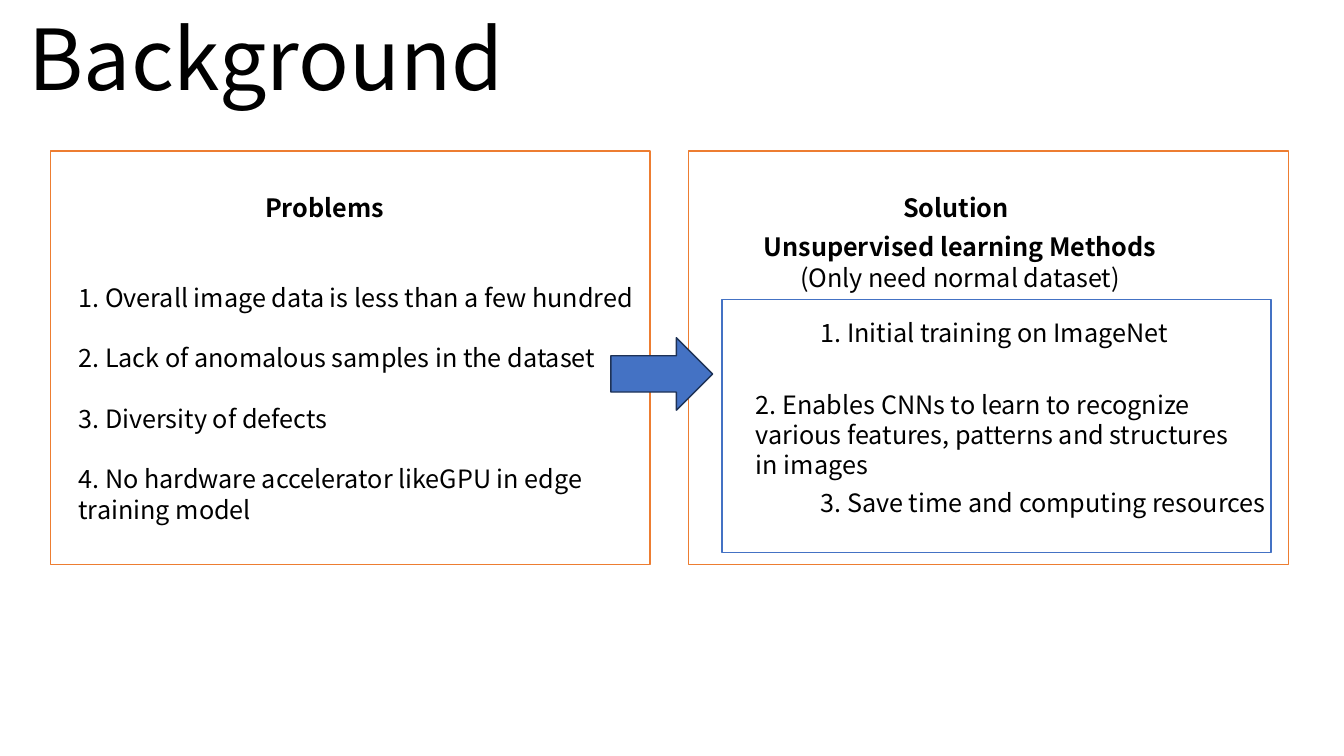
from dataclasses import dataclass

from pptx import Presentation
from pptx.dml.color import RGBColor
from pptx.enum import shapes, text
from pptx.util import Pt


@dataclass(frozen=True)
class Theme:
    font: str = "Noto Sans CJK SC"
    title_size: float = 60
    body_size: float = 18
    item_gap: float = 21.6
    line_width: float = 1
    ink: str = "000000"
    paper: str = "FFFFFF"
    orange: str = "ED7D31"
    blue: str = "4472C4"
    navy: str = "1E3256"


THEME = Theme()
CENTER = text.PP_ALIGN.CENTER
LEFT = text.PP_ALIGN.LEFT


def inside(box, left, top, width, height):
    return box[0] + left, box[1] + top, width, height


def draw_shape(slide, kind, box, fill, line):
    outline = slide.shapes.add_shape(kind, *map(Pt, box))
    outline.shadow.inherit = False
    outline.fill.solid()
    outline.fill.fore_color.rgb = RGBColor.from_string(fill)
    outline.line.color.rgb = RGBColor.from_string(line)
    outline.line.width = Pt(THEME.line_width)


def draw_frame(slide, box, line):
    draw_shape(slide, shapes.MSO_SHAPE.RECTANGLE, box, THEME.paper, line)


def write(slide, box, lines, bold_lines=0, size=THEME.body_size, align=LEFT, gap=0):
    frame = slide.shapes.add_textbox(*map(Pt, box)).text_frame
    frame.word_wrap = True
    for index, wording in enumerate(lines):
        paragraph = frame.paragraphs[0] if index == 0 else frame.add_paragraph()
        paragraph.alignment = align
        paragraph.space_after = Pt(gap if index < len(lines) - 1 else 0)
        run = paragraph.add_run()
        run.text = wording
        run.font.name = THEME.font
        run.font.size = Pt(size)
        run.font.bold = index < bold_lines
        run.font.color.rgb = RGBColor.from_string(THEME.ink)
    return frame


def draw_title(slide, box):
    title = write(slide, box, ["Background"], size=THEME.title_size, align=CENTER)
    title.vertical_anchor = text.MSO_ANCHOR.BOTTOM
    title.word_wrap = False
    title.paragraphs[0].line_spacing = 0.9


def draw_panel(slide, box, heading):
    draw_frame(slide, box, THEME.orange)
    write(slide, inside(box, 146.2, 25.9, 188.6, 28.8), [heading], bold_lines=1)


def draw_problems(slide, box):
    draw_panel(slide, box, "Problems")
    write(slide, inside(box, 13, 90, 415.4, 181.4), [
        "1. Overall image data is less than a few hundred",
        "2. Lack of anomalous samples in the dataset",
        "3. Diversity of defects",
        "4. No hardware accelerator likeGPU in edge training model",
    ], gap=THEME.item_gap)


def draw_benefits(slide, box):
    draw_frame(slide, box, THEME.blue)
    for left, top, width, height, benefit in (
        (63.4, 9.4, 340, 28.8, "1. Initial training on ImageNet"),
        (17.3, 60.5, 368.6, 72, "2. Enables CNNs to learn to recognize various "
         "features, patterns and structures in images"),
        (63.4, 131, 340, 28.8, "3. Save time and computing resources"),
    ):
        write(slide, inside(box, left, top, width, height), [benefit])


def draw_solution(slide, box):
    draw_panel(slide, box, "Solution")
    draw_benefits(slide, inside(box, 23.8, 105.8, 392.4, 180.7))
    write(slide, inside(box, -13.7, 54, 415.4, 51.1),
          ["Unsupervised learning Methods", "(Only need normal dataset)"],
          bold_lines=1, align=CENTER)


def draw_background_slide(slide, box):
    panel_width, panel_height = 428.4, 295.2
    draw_solution(slide, inside(box, 491.8, 108, panel_width, panel_height))
    draw_problems(slide, inside(box, 36, 108, panel_width, panel_height))
    draw_shape(slide, shapes.MSO_SHAPE.RIGHT_ARROW,
               inside(box, 436.3, 241.2, 72.7, 51.8), THEME.blue, THEME.navy)
    draw_title(slide, inside(box, 10, 0, 360.2, 81.4))


deck = Presentation()
deck.slide_width, deck.slide_height = Pt(960), Pt(540)
background = deck.slides.add_slide(deck.slide_layouts[6])
draw_background_slide(background, (0, 0, 960, 540))
deck.save("out.pptx")
